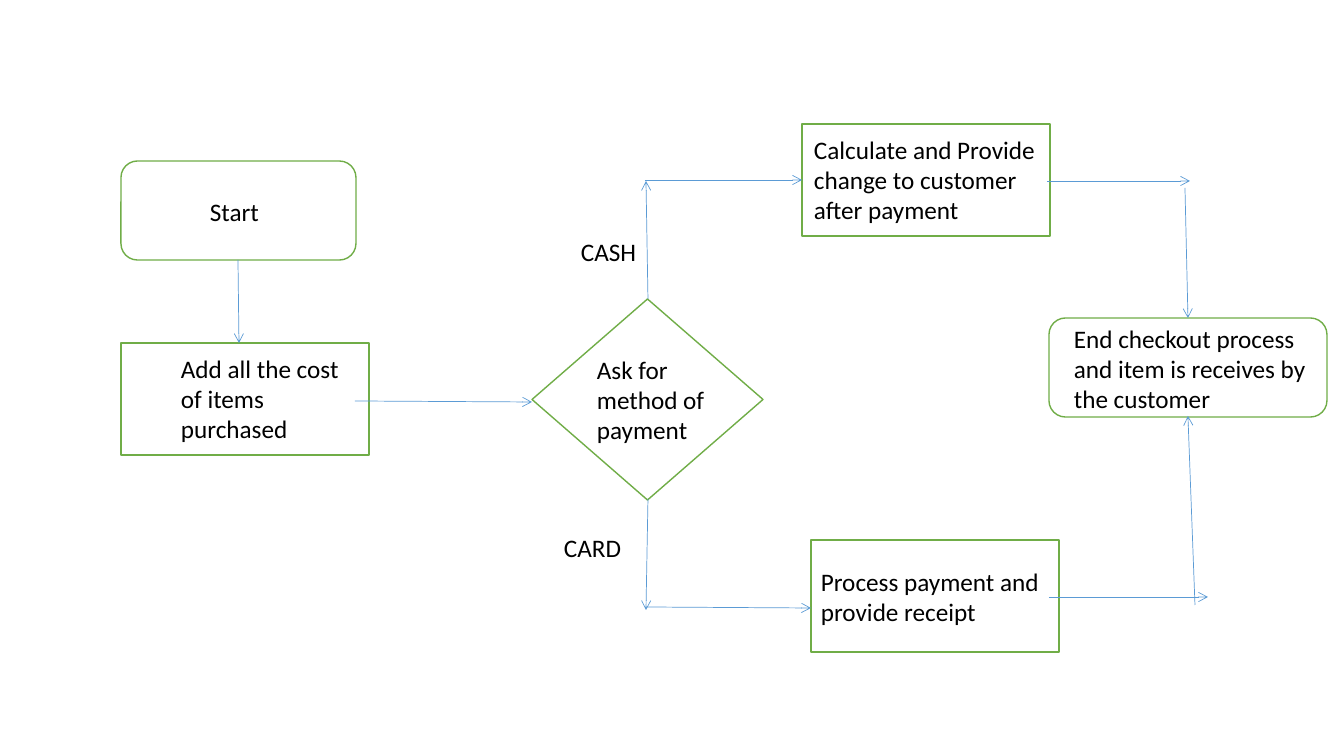
import pptx
import pptx.util
import pptx.dml.color
import pptx.enum.shapes
import pptx.enum.text
import pptx.oxml
from dataclasses import dataclass
from lxml import etree

SCALE = 914400 / 100.8  # EMU per pixel
KIND = pptx.enum.shapes.MSO_SHAPE


@dataclass(frozen=True)
class Theme:
    paper: str = "FFFFFF"
    edge: str = "70AD47"
    arrow: str = "5B9BD5"
    ink: str = "000000"
    font: str = "Calibri"
    size: float = 18
    border: float = 1
    thin: float = 0.5


THEME = Theme()


def px(*nums):
    return [pptx.util.Emu(round(n * SCALE)) for n in nums]


def color(code):
    return pptx.dml.color.RGBColor.from_string(code)


def add_box(slide, kind, *area):
    box = slide.shapes.add_shape(kind, *px(*area))
    box.shadow.inherit = False
    box.fill.solid()
    box.fill.fore_color.rgb = color(THEME.paper)
    box.line.color.rgb = color(THEME.edge)
    box.line.width = pptx.util.Pt(THEME.border)


def add_arrow(slide, *ends):
    straight = pptx.enum.shapes.MSO_CONNECTOR.STRAIGHT
    arrow = slide.shapes.add_connector(straight, *px(*ends))
    arrow.line.color.rgb = color(THEME.arrow)
    arrow.line.width = pptx.util.Pt(THEME.thin)
    name = pptx.oxml.ns.qn
    etree.SubElement(arrow.line._get_or_add_ln(), name("a:tailEnd"), type="arrow")
    etree.SubElement(arrow._element.spPr, name("a:effectLst"))


def add_label(slide, text, *area):
    label = slide.shapes.add_textbox(*px(*area))
    frame = label.text_frame
    frame.word_wrap = True
    frame.auto_size = pptx.enum.text.MSO_AUTO_SIZE.SHAPE_TO_FIT_TEXT
    run = frame.paragraphs[0].add_run()
    run.text = text
    run.font.name = THEME.font
    run.font.size = pptx.util.Pt(THEME.size)
    run.font.color.rgb = color(THEME.ink)


def main():
    deck = pptx.Presentation()
    deck.slide_width, deck.slide_height = px(1344, 756)
    slide = deck.slides.add_slide(deck.slide_layouts[6])

    # Start and end, steps, and the choice
    step = (248, 112)
    add_box(slide, KIND.ROUNDED_RECTANGLE, 121, 161, 235, 99)
    add_box(slide, KIND.ROUNDED_RECTANGLE, 1049, 318, 278, 99)
    add_box(slide, KIND.DIAMOND, 532, 299, 231, 201)
    for left, top in [(121, 343), (802, 124), (811, 540)]:
        add_box(slide, KIND.RECTANGLE, left, top, *step)

    # Flow arrows
    flow = [
        (238, 260, 239, 343),  # start to cost
        (355, 401, 532, 402),  # cost to choice
        (648, 299, 646, 181),  # cash branch
        (645, 180, 802, 180),
        (1047, 181, 1190, 181),
        (1185, 188, 1188, 318),
        (648, 499, 646, 610),  # card branch
        (646, 607, 811, 608),
        (1049, 597, 1208, 597),
        (1195, 605, 1188, 416),
    ]
    for ends in flow:
        add_arrow(slide, *ends)

    # Wording
    labels = [
        ("Start", 200, 191, 173, 40),
        ("Add all the cost of items purchased ", 171, 348, 198, 102),
        ("Ask for method of payment", 587, 349, 144, 102),
        ("CASH", 571, 231, 100, 40),
        ("Calculate and Provide change to customer after payment",
         804, 129, 261, 102),
        ("CARD", 554, 527, 131, 40),
        ("Process payment and provide receipt", 811, 561, 255, 72),
        ("End checkout process and item is receives by the customer",
         1064, 318, 279, 102),
    ]
    for label in labels:
        add_label(slide, *label)

    deck.save("out.pptx")


main()
